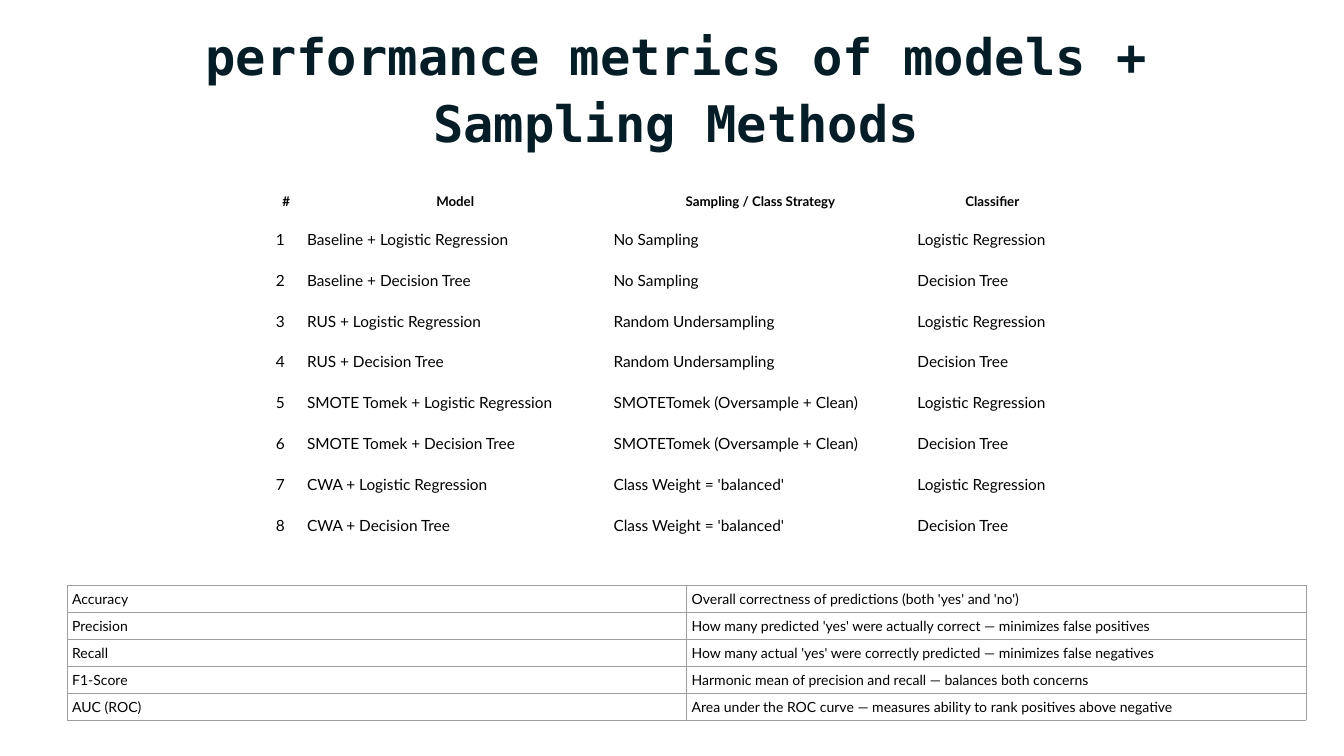
"""Build the slide on performance metrics of models and sampling methods."""
import pptx
import pptx.dml.color
import pptx.enum.text
import pptx.oxml
import pptx.oxml.ns
import pptx.util
from pptx.util import Inches

INK = pptx.dml.color.RGBColor(0x04, 0x1D, 0x26)
BLACK = pptx.dml.color.RGBColor(0x00, 0x00, 0x00)
GREY = pptx.dml.color.RGBColor(0x9E, 0x9E, 0x9E)
CENTER = pptx.enum.text.PP_ALIGN.CENTER
LEFT = pptx.enum.text.PP_ALIGN.LEFT

CLASSIFIERS = ("Logistic Regression", "Decision Tree")
STRATEGIES = (
    ("Baseline", "No Sampling"),
    ("RUS", "Random Undersampling"),
    ("SMOTE Tomek", "SMOTETomek (Oversample + Clean)"),
    ("CWA", "Class Weight = 'balanced'"),
)
MODEL_HEADER = ("#", "Model", "Sampling / Class Strategy", "Classifier")
METRICS = (
    ("Accuracy", "Overall correctness of predictions (both 'yes' and 'no')"),
    ("Precision", "How many predicted 'yes' were actually correct — minimizes false positives"),
    ("Recall", "How many actual 'yes' were correctly predicted — minimizes false negatives"),
    ("F1-Score", "Harmonic mean of precision and recall — balances both concerns"),
    ("AUC (ROC)", "Area under the ROC curve — measures ability to rank positives above negative"),
)


class SlideBuilder:
    title_font = "DejaVu Sans Mono"
    body_font = "Lato"
    inset = Inches(0.1)

    def __init__(self, page):
        self.page = page

    def add_text(self, frame, text, size, font, color=BLACK, bold=False, align=LEFT, spacing=1.0):
        para = frame.paragraphs[0]
        para.alignment = align
        para.line_spacing = spacing
        span = para.add_run()
        span.text = text
        span.font.name = font
        span.font.size = pptx.util.Pt(size)
        span.font.bold = bold
        span.font.color.rgb = color

    def set_insets(self, holder):
        holder.margin_left = holder.margin_right = self.inset
        holder.margin_top = holder.margin_bottom = self.inset

    def title(self, text, left, top, width, height):
        box = self.page.shapes.add_textbox(Inches(left), Inches(top), Inches(width), Inches(height))
        frame = box.text_frame
        frame.word_wrap = True
        frame.auto_size = pptx.enum.text.MSO_AUTO_SIZE.SHAPE_TO_FIT_TEXT
        self.set_insets(frame)
        self.add_text(frame, text, 72, self.title_font, INK, True, CENTER, 1.1)

    def border(self, cell, color, width):
        properties = cell._tc.get_or_add_tcPr()
        for position, side in enumerate(("lnL", "lnR", "lnT", "lnB")):
            line = pptx.oxml.parse_xml(
                f'<a:{side} {pptx.oxml.ns.nsdecls("a")} w="{pptx.util.Pt(width)}">'
                f'<a:solidFill><a:srgbClr val="{color}"/></a:solidFill></a:{side}>'
            )
            properties.insert(position, line)

    def table(self, rows, left, top, widths, heights, size, header_size=None, border=None):
        graphic = self.page.shapes.add_table(
            len(rows), len(widths), Inches(left), Inches(top),
            Inches(sum(widths)), Inches(sum(heights)),
        )
        table = graphic.table
        table.first_row = table.horz_banding = False
        for column, width in zip(table.columns, widths):
            column.width = Inches(width)
        for index, (row, height, texts) in enumerate(zip(table.rows, heights, rows)):
            row.height = Inches(height)
            for cell, text in zip(row.cells, texts):
                cell.fill.background()
                self.set_insets(cell)
                if border:
                    self.border(cell, border, 0.75)
                if header_size and index == 0:
                    self.add_text(cell.text_frame, text, header_size, self.body_font,
                                  bold=True, align=CENTER, spacing=1.15)
                else:
                    self.add_text(cell.text_frame, text, size, self.body_font)


def model_rows():
    pairs = [(name, strategy, kind) for name, strategy in STRATEGIES for kind in CLASSIFIERS]
    return [MODEL_HEADER] + [
        (str(number), f"{name} + {kind}", strategy, kind)
        for number, (name, strategy, kind) in enumerate(pairs, 1)
    ]


def main():
    deck = pptx.Presentation()
    deck.slide_width = Inches(26.66)
    deck.slide_height = Inches(15)
    builder = SlideBuilder(deck.slides.add_slide(deck.slide_layouts[6]))
    builder.title("performance metrics of models + Sampling Methods", 1.95, 0.28, 22.92, 2.75)
    builder.table(model_rows(), 5.37, 3.7, (0.62, 6.08, 6.03, 3.17),
                  [0.77] + [0.81] * 8, 22, header_size=19)
    builder.table(METRICS, 1.33, 11.62, (12.29, 12.29), [0.42] * len(METRICS), 20, border=GREY)
    deck.save("out.pptx")


if __name__ == "__main__":
    main()
